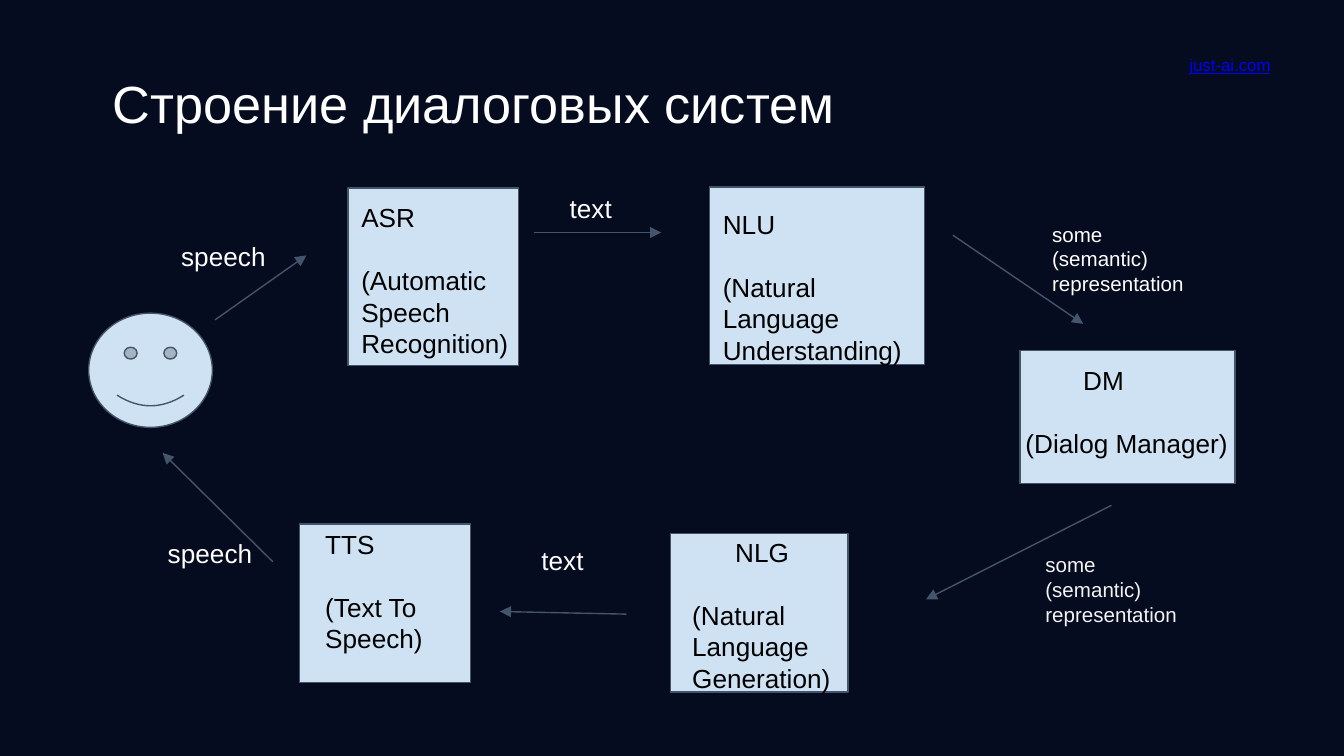
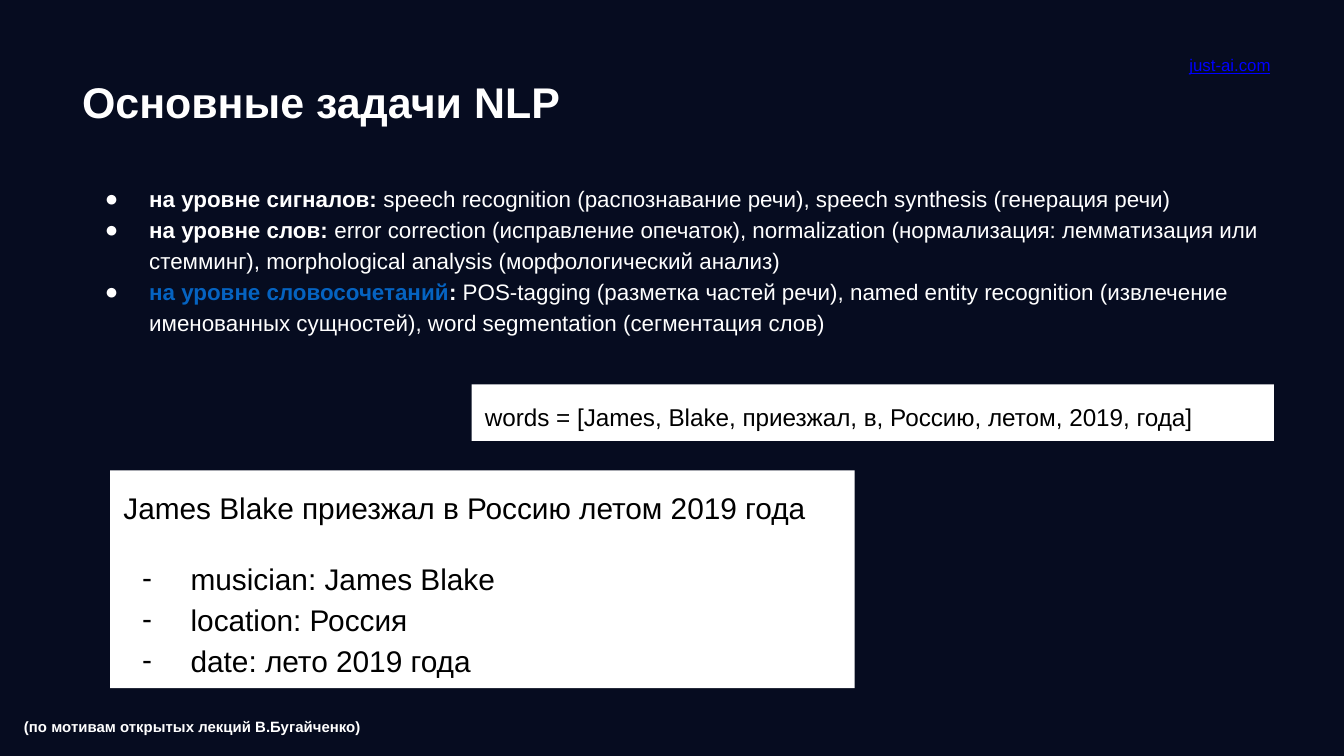
from lxml.etree import SubElement
from pptx import Presentation
from pptx.dml.color import RGBColor
from pptx.enum.shapes import MSO_CONNECTOR, MSO_SHAPE
from pptx.enum.text import MSO_ANCHOR, PP_ALIGN
from pptx.oxml.ns import qn
from pptx.util import Inches, Pt

COLORS = {
    "night": "060C20",
    "white": "FFFFFF",
    "pale": "F3F3F3",
    "black": "000000",
    "sky": "CFE2F3",
    "slate": "44546A",
    "accent": "0563C1",
    "link": "0000FF",
}
FONT = "Arial"
SITE_BOX = (8.81, 0.37, 0.73, 0.23)


def rgb(name):
    return RGBColor.from_string(COLORS[name])


def apply(target, values):
    for attribute, value in values.items():
        setattr(target, attribute, value)


def within(box, offset):
    return box[0] + offset[0], box[1] + offset[1], *offset[2:]


def lengths(values):
    return [Inches(value) for value in values]


def set_frame(frame, insets=(0.1, 0.1, 0.1, 0.1), anchor=MSO_ANCHOR.TOP):
    sides = ("margin_left", "margin_top", "margin_right", "margin_bottom")
    apply(frame, {"word_wrap": True, "vertical_anchor": anchor})
    apply(frame, dict(zip(sides, lengths(insets))))


def add_bullet(paragraph, character, size, color, hanging):
    properties = paragraph._p.get_or_add_pPr()
    properties.set("marL", str(Inches(0.5)))
    properties.set("indent", str(-Inches(hanging)))
    bullet_color = SubElement(properties, qn("a:buClr"))
    SubElement(bullet_color, qn("a:srgbClr")).set("val", COLORS[color])
    SubElement(properties, qn("a:buSzPts")).set("val", str(size * 100))
    SubElement(properties, qn("a:buFont")).set("typeface", FONT)
    SubElement(properties, qn("a:buChar")).set("char", character)
    paragraph.font.size = Pt(size)


def write(frame, lines, size, color, bold=False, **layout):
    for index, line in enumerate(lines):
        paragraph = frame.paragraphs[0] if index == 0 else frame.add_paragraph()
        apply(paragraph, {"alignment": PP_ALIGN.LEFT, **layout})
        runs = [(line, {})] if isinstance(line, str) else line
        for text, changes in runs:
            look = {"color": color, "bold": bold, **changes}
            run = paragraph.add_run()
            run.text = text
            run.font.color.rgb = rgb(look.pop("color"))
            apply(run.font, {"name": FONT, "size": Pt(size), **look})
    return frame.paragraphs


def add_text(slide, box, lines, size, color, insets=(0.1,) * 4,
             anchor=MSO_ANCHOR.TOP, **layout):
    frame = slide.shapes.add_textbox(*lengths(box)).text_frame
    set_frame(frame, insets, anchor)
    return write(frame, lines, size, color, **layout)


def add_panel(slide, box, fill, outline=None, preset=MSO_SHAPE.RECTANGLE):
    panel = slide.shapes.add_shape(preset, *lengths(box))
    panel.shadow.inherit = False
    panel.fill.solid()
    panel.fill.fore_color.rgb = rgb(fill)
    if outline:
        panel.line.color.rgb = rgb(outline)
        panel.line.width = Pt(0.75)
    else:
        panel.line.fill.background()
    return panel


def add_arrow(slide, start, end):
    arrow = slide.shapes.add_connector(
        MSO_CONNECTOR.STRAIGHT, *lengths((*start, *end)))
    arrow.line.color.rgb = rgb("slate")
    arrow.line.width = Pt(0.75)
    SubElement(arrow.line._get_or_add_ln(), qn("a:tailEnd")).set("type", "triangle")
    SubElement(arrow._element.spPr, qn("a:effectLst"))


def add_titled_slide(deck, title, box, size, insets, anchor, **layout):
    slide = deck.slides.add_slide(deck.slide_layouts[5])
    heading = slide.shapes.title
    apply(heading, dict(zip(("left", "top", "width", "height"), lengths(box))))
    set_frame(heading.text_frame, insets, anchor)
    write(heading.text_frame, [title], size, "white", **layout)
    add_text(slide, SITE_BOX, [[("just-ai.com", {"underline": True})]], 9, "link",
             (0.04,) * 4, MSO_ANCHOR.MIDDLE)
    return slide


def add_stage(slide, box, lines, insets, heading_indent=0):
    stage = add_panel(slide, box, "sky", "slate")
    set_frame(stage.text_frame, insets)
    heading, expansion, *_ = write(stage.text_frame, lines, 14, "black")
    heading._p.get_or_add_pPr().set("indent", str(Inches(heading_indent)))
    expansion.space_before = Pt(17)


def add_dialog_cycle(slide, box):
    add_panel(slide, within(box, (0, 1, 0.92, 0.85)), "sky", "slate",
              MSO_SHAPE.SMILEY_FACE)

    stages = [
        ((1.93, 0.07, 1.27, 1.32),
         ["ASR", "(Automatic", "Speech", "Recognition)"], (0.1, 0.1, 0, 0), 0),
        ((4.62, 0.06, 1.6, 1.32),
         ["NLU", "(Natural", "Language", "Understanding)"], (0.1, 0.16, 0, 0), 0),
        ((6.93, 1.28, 1.6, 0.99),
         ["DM", "(Dialog Manager)"], (0.04, 0.1, 0, 0), 0.43),
        ((4.33, 2.64, 1.32, 1.18),
         ["NLG", "(Natural", "Language", "Generation)"], (0.16, 0.02, 0, 0), 0.32),
        ((1.57, 2.57, 1.27, 1.18),
         ["TTS", "(Text To", "Speech)"], (0.19, 0.03, 0, 0), 0),
    ]
    for offset, lines, insets, heading_indent in stages:
        add_stage(slide, within(box, offset), lines, insets, heading_indent)

    flows = [
        ((0.94, 1.05), (1.62, 0.57)),
        ((3.31, 0.4), (4.26, 0.4)),
        ((6.43, 0.42), (7.4, 1.08)),
        ((7.61, 2.43), (6.23, 3.13)),
        ((4, 3.24), (3.06, 3.22)),
        ((1.37, 2.85), (0.55, 2.04)),
    ]
    for start, end in flows:
        add_arrow(slide, within(box, start), within(box, end))

    meaning = ["some", "(semantic)", "representation"]
    payloads = [
        ((0.59, 0.36), ["speech"], 14, "white"),
        ((3.48, 0), ["text"], 14, "white"),
        ((7.07, 0.22), meaning, 11, "white"),
        ((7.02, 2.68), meaning, 11, "pale"),
        ((3.27, 2.62), ["text"], 14, "white"),
        ((0.49, 2.57), ["speech"], 14, "white"),
    ]
    for offset, lines, size, color in payloads:
        add_text(slide, within(box, (*offset, 1.23, 0.56)), lines, size, color)


def add_task_levels(slide, box):
    strong = {"bold": True}
    levels = [
        [("на уровне сигналов:", strong),
         (" speech recognition (распознавание речи), "
          "speech synthesis (генерация речи)", {})],
        [("на уровне слов:", strong),
         (" error correction (исправление опечаток), normalization "
          "(нормализация: лемматизация или стемминг), "
          "morphological analysis (морфологический анализ)", {})],
        [("на уровне словосочетаний", {"bold": True, "color": "accent"}),
         (":", strong),
         (" POS-tagging (разметка частей речи), named entity recognition "
          "(извлечение именованных сущностей), "
          "word segmentation (сегментация слов)", {})],
    ]
    for level in add_text(slide, box, levels, 12, "white", (0.04,) * 4,
                          line_spacing=1.15):
        add_bullet(level, "●", 12, "white", 0.33)


def add_example(slide, box):
    entities = add_panel(slide, within(box, (0, 0.64, 5.54, 1.62)), "white")
    set_frame(entities.text_frame)
    _, *facts = write(entities.text_frame, [
        "James Blake приезжал в Россию летом 2019 года",
        "musician: James Blake",
        "location: Россия",
        "date: лето 2019 года",
    ], 16, "black", line_spacing=1.15)
    for fact in facts:
        add_bullet(fact, "-", 16, "black", 0.36)
    facts[0].space_before = Pt(16)

    tokens = add_panel(slide, within(box, (2.69, 0, 5.97, 0.42)), "white")
    set_frame(tokens.text_frame)
    write(tokens.text_frame,
          ["words = [James, Blake, приезжал, в, Россию, летом, 2019, года]"],
          13, "black", line_spacing=1.15)


def add_credit(slide, box):
    add_text(slide, box, ["(по мотивам открытых лекций В.Бугайченко)"], 8, "white",
             bold=True, line_spacing=1.15)


def main():
    deck = Presentation()
    apply(deck, {"slide_width": Inches(10), "slide_height": Inches(10) * 9 // 16})
    backdrop = deck.slide_master.background.fill
    backdrop.solid()
    backdrop.fore_color.rgb = rgb("night")

    structure = add_titled_slide(
        deck, "Строение диалоговых систем", (0.74, 0.43, 8.66, 0.63), 28,
        (0.1,) * 4, MSO_ANCHOR.TOP)
    add_dialog_cycle(structure, (0.66, 1.33, 8.53, 3.82))

    tasks = add_titled_slide(
        deck, "Основные задачи NLP", (0.57, 0.39, 8.86, 0.67), 23,
        (0.04,) * 4, MSO_ANCHOR.MIDDLE, bold=True, line_spacing=1.15)
    add_task_levels(tasks, (0.57, 1.31, 8.86, 3.81))
    add_credit(tasks, (0.08, 5.24, 4.58, 0.34))
    add_example(tasks, (0.82, 2.86, 8.66, 2.26))

    deck.save("out.pptx")


if __name__ == "__main__":
    main()
